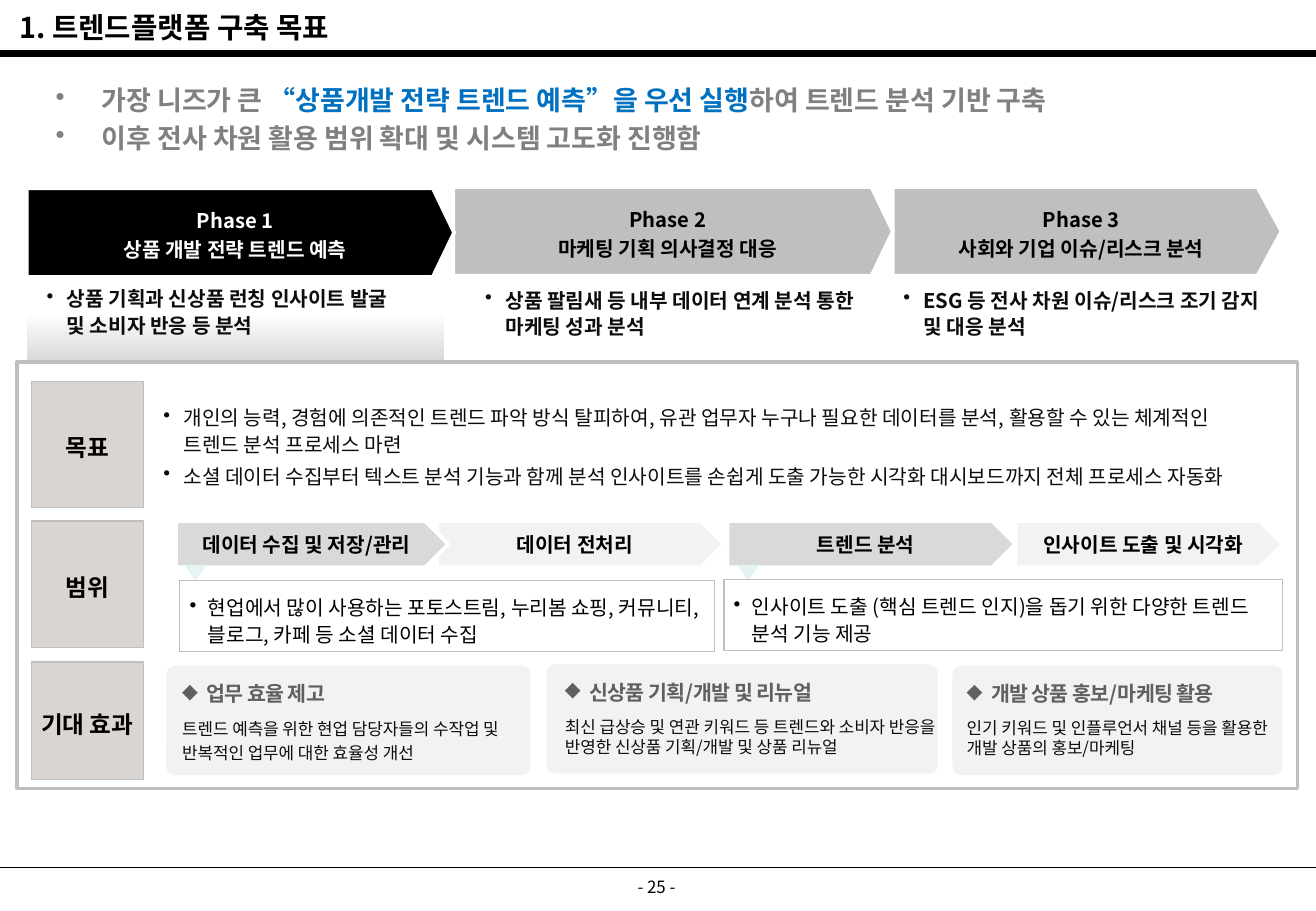
from lxml.etree import SubElement as Sub
from pptx import Presentation
from pptx.dml.color import RGBColor as RGB
from pptx.enum.shapes import MSO_CONNECTOR as LINE, MSO_SHAPE as SHAPE
from pptx.enum.text import MSO_ANCHOR as ANCHOR, PP_ALIGN as ALIGN
from pptx.oxml.ns import qn
from pptx.util import Pt

FONT = "Noto Sans CJK KR"
COLOR = {
    "black": "000000", "white": "FFFFFF", "ink": "0D0D0D", "blue": "0070C0",
    "gray": "808080", "head": "606060", "edge": "BFBFBF", "mid": "D9D9D9",
    "pale": "F2F2F2", "taupe": "877669", "mint": "E4F3F4",
}
NOTE = dict(inset=(5.8, 4.3, 5.8, 2.9), bullet="•", indent=(18, -12), lines=1.1)


def rgb(name):
    return RGB.from_string(COLOR[name])


def write(item, paras, size=12, color="black", bold=False, center=False,
          middle=False, inset=(7.2, 3.6, 7.2, 3.6), lines=None, before=None,
          after=None, bullet=None, indent=(0, 0), spacing=None):
    """Fill a shape with paragraphs: each a string or a list of (text, colour)."""
    frame = item.text_frame
    frame.word_wrap = True
    frame.vertical_anchor = ANCHOR.MIDDLE if middle else ANCHOR.TOP
    (frame.margin_left, frame.margin_top,
     frame.margin_right, frame.margin_bottom) = map(Pt, inset)
    for i, para in enumerate(paras):
        p = frame.add_paragraph() if i else frame.paragraphs[0]
        p.alignment = ALIGN.CENTER if center else ALIGN.LEFT
        p.line_spacing = lines
        if before:
            p.space_before = Pt(before)
        if after:
            p.space_after = Pt(after)
        if bullet:
            props = p._p.get_or_add_pPr()
            props.set("marL", str(Pt(indent[0])))
            props.set("indent", str(Pt(indent[1])))
            Sub(props, qn("a:buChar"), char=bullet)
        for words, tint in [(para, color)] if isinstance(para, str) else para:
            run = p.add_run()
            run.text = words
            font = run.font
            font.size, font.bold, font.name = Pt(size), bold, FONT
            font.color.rgb = rgb(tint)
            props = run._r.get_or_add_rPr()
            Sub(props, qn("a:ea"), typeface=FONT)
            if spacing:
                props.set("spc", str(int(spacing * 100)))


def label(slide, box, paras, **style):
    write(slide.shapes.add_textbox(*map(Pt, box)), paras, **style)


def block(slide, kind, box, fill=None, edge=None, width=0.75, adjust=None):
    item = slide.shapes.add_shape(kind, *map(Pt, box))
    item.shadow.inherit = False
    if fill:
        item.fill.solid()
        item.fill.fore_color.rgb = rgb(fill)
    else:
        item.fill.background()
    if edge:
        item.line.color.rgb = rgb(edge)
        item.line.width = Pt(width)
    else:
        item.line.fill.background()
    if adjust is not None:
        item.adjustments[0] = adjust
    return item


def rule(slide, y, width):
    line = slide.shapes.add_connector(LINE.STRAIGHT, 0, Pt(y), Pt(780), Pt(y))
    line.line.color.rgb = rgb("black")
    line.line.width = Pt(width)
    Sub(line._element.spPr, qn("a:effectLst"))


def arrow(slide, box, paras, fill, adjust=0.5, color="black", **style):
    item = block(slide, SHAPE.PENTAGON, box, fill, "white", 2.25, adjust)
    write(item, paras, color=color, bold=True, center=True, middle=True, **style)


def fade(slide, box):
    item = block(slide, SHAPE.RECTANGLE, box)
    item.fill.gradient()
    item.fill.gradient_angle = 270
    for stop, name in zip(item.fill.gradient_stops, ("white", "mid")):
        stop.color.rgb = rgb(name)


def tag(slide, y, height, name):
    """Add a row heading on a see-through tile."""
    item = block(slide, SHAPE.RECTANGLE, (18.5, y, 66.5, height), "taupe", "edge")
    tint = item._element.spPr.find(qn("a:solidFill")).find(qn("a:srgbClr"))
    Sub(tint, qn("a:alpha"), val="30000")
    write(item, [name], size=14, bold=True, center=True, middle=True,
          inset=(0,) * 4, lines=1.2)


def scope(slide, box, words):
    item = block(slide, SHAPE.RECTANGLE, box, edge="edge")
    write(item, [words], inset=(5.8, 7.2, 5.8, 2.9), bullet="•",
          indent=(10.8, -10.8), lines=1.1, after=4)


def card(slide, box, left, top, wide, head, body, lines=None):
    x, y, w, h = box
    block(slide, SHAPE.ROUNDED_RECTANGLE, box, "pale", adjust=0.08)
    label(slide, (left, y + 2.2, w - 10, 25.2), [head], size=12.2, color="head",
          bold=True, middle=True, inset=(0,) * 4, bullet="◆",
          indent=(14.4, -14.4), lines=1.2, spacing=-0.4)
    label(slide, (left, top, wide, 31), [body], size=10, color="ink",
          inset=(0,) * 4, lines=lines)


def header(slide):
    rule(slide, 514.1, 0.75)
    rule(slide, 31.8, 4.5)
    label(slide, (4.3, 2.2, 754.6, 28), ["1. 트렌드플랫폼 구축 목표"], size=17, bold=True)
    label(slide, (298, 516.2, 182.2, 23.8), ["- 25 -"], size=10, center=True)
    label(slide, (25.9, 46.1, 750, 46.8), [
        [("가장 니즈가 큰 ", "gray"),
         ("“상품개발 전략 트렌드 예측”을 우선 실행", "blue"),
         ("하여 트렌드 분석 기반 구축", "gray")],
        "이후 전사 차원 활용 범위 확대 및 시스템 고도화 진행함",
    ], size=16, color="gray", bold=True, bullet="•", indent=(27.4, -27.4), before=3.2)


def phases(slide):
    fade(slide, (15.8, 185, 247.7, 28.8))
    for box, fill, adjust, color, names in (
        ((529.2, 110.9, 230.4, 52.6), "edge", 0.27, "black",
         ["Phase 3", "사회와 기업 이슈/리스크 분석"]),
        ((268.6, 110.9, 260.6, 52.6), "edge", 0.24, "black",
         ["Phase 2", "마케팅 기획 의사결정 대응"]),
        ((15.8, 111.6, 253.4, 52.6), "black", 0.24, "white",
         ["Phase 1", "상품 개발 전략 트렌드 예측"]),
    ):
        arrow(slide, box, names, fill, adjust, color,
              inset=(2.9, 3.6, 2.9, 3.6), lines=1.2)
    for x, y, w, words in (
        (15.8, 164.2, 229, "상품 기획과 신상품 런칭 인사이트 발굴 및 소비자 반응 등 분석"),
        (275.8, 164.9, 266.4, "상품 팔림새 등 내부 데이터 연계 분석 통한 마케팅 성과 분석"),
        (523.6, 164.9, 235.4, "ESG 등 전사 차원 이슈/리스크 조기 감지 및 대응 분석"),
    ):
        label(slide, (x, y, w, 34.6), [words], color="ink", bold=True, after=5, **NOTE)


def details(slide):
    label(slide, (85, 226.1, 664.6, 74.9), [
        "개인의 능력, 경험에 의존적인 트렌드 파악 방식 탈피하여, 유관 업무자 누구나 "
        "필요한 데이터를 분석, 활용할 수 있는 체계적인 트렌드 분석 프로세스 마련",
        "소셜 데이터 수집부터 텍스트 분석 기능과 함께 분석 인사이트를 손쉽게 도출 "
        "가능한 시각화 대시보드까지 전체 프로세스 자동화",
    ], color="ink", middle=True, after=3, **NOTE)
    block(slide, SHAPE.RECTANGLE, (10.1, 214.6, 758.9, 252.7), edge="edge", width=2)
    for x, w, fill, name in (
        (601.9, 158.4, "pale", "인사이트 도출 및 시각화"),
        (431.3, 170.6, "mid", "트렌드 분석"),
        (259.2, 169.9, "pale", "데이터 전처리"),
        (104.4, 161.3, "mid", "데이터 수집 및 저장/관리"),
    ):
        arrow(slide, (x, 308.9, w, 27.4), [name], fill)
    for x in (109.4, 437):
        block(slide, SHAPE.ISOSCELES_TRIANGLE, (x, 334.8, 13, 9.4), "mint").rotation = 180
    scope(slide, (106.6, 344.2, 316.8, 41.8),
          "현업에서 많이 사용하는 포토스트림, 누리봄 쇼핑, 커뮤니티, 블로그, "
          "카페 등 소셜 데이터 수집")
    scope(slide, (429.1, 343.6, 331.2, 41.8),
          "인사이트 도출 (핵심 트렌드 인지)을 돕기 위한 다양한 트렌드 분석 기능 제공")
    for y, height, name in ((226.1, 74.9, "목표"), (308.9, 74.9, "범위"),
                            (392.4, 69.8, "기대 효과")):
        tag(slide, y, height, name)


def effects(slide):
    card(slide, (98.6, 394.6, 216, 64.8), 108, 423.4, 206.6, "업무 효율 제고",
         "트렌드 예측을 위한 현업 담당자들의 수작업 및 반복적인 업무에 대한 효율성 개선", 1.2)
    card(slide, (564.5, 394.6, 195.8, 64.8), 573, 425.5, 184, "개발 상품 홍보/마케팅 활용",
         "인기 키워드 및 인플루언서 채널 등을 활용한 개발 상품의 홍보/마케팅")
    card(slide, (324, 393.8, 231.8, 64.8), 334.8, 424.8, 219.6, "신상품 기획/개발 및 리뉴얼",
         "최신 급상승 및 연관 키워드 등 트렌드와 소비자 반응을 반영한 신상품 기획/개발 "
         "및 상품 리뉴얼")


def main():
    deck = Presentation()
    deck.slide_width, deck.slide_height = Pt(780), Pt(540)
    slide = deck.slides.add_slide(deck.slide_layouts[6])
    for part in (header, phases, details, effects):
        part(slide)
    deck.save("out.pptx")


if __name__ == "__main__":
    main()
